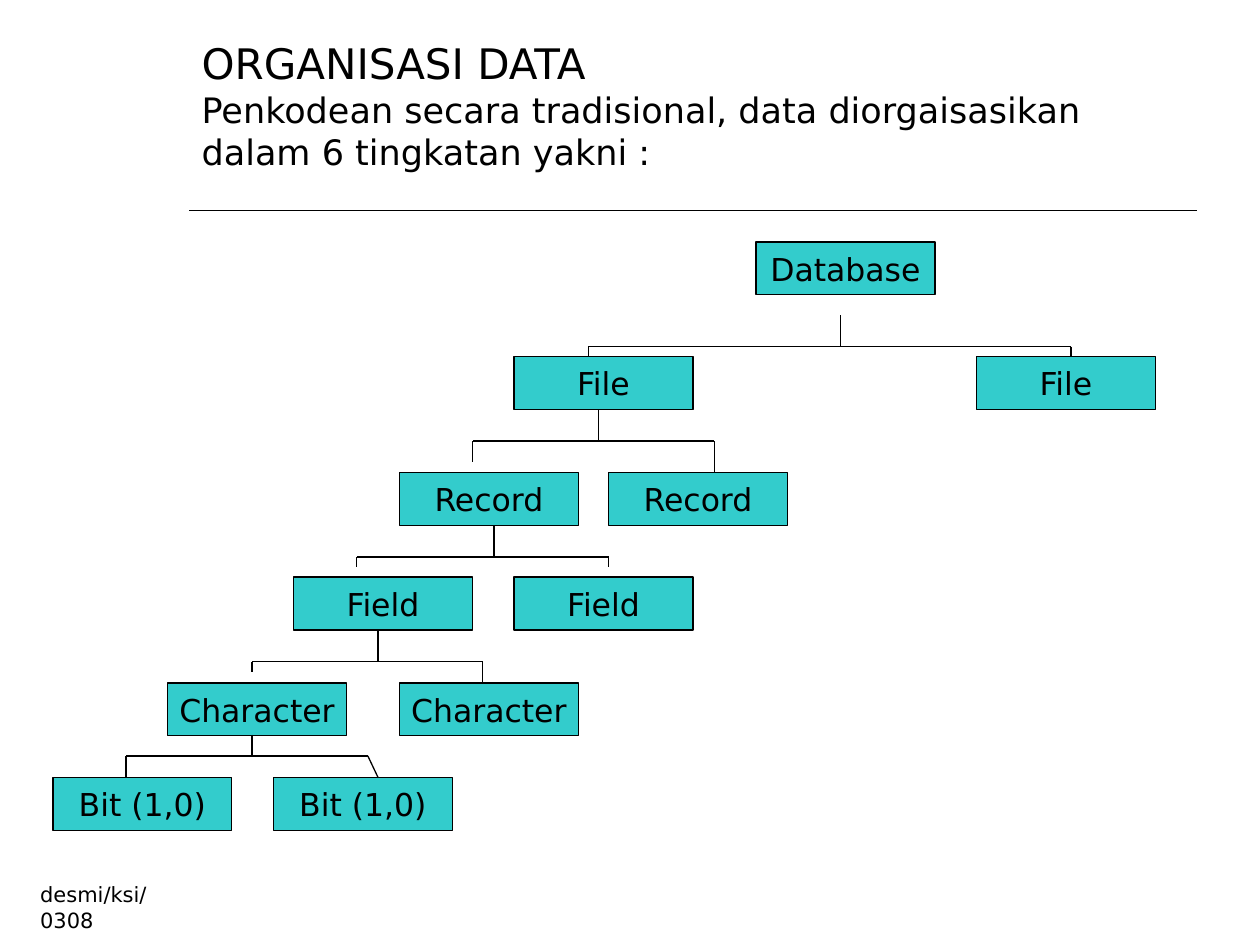
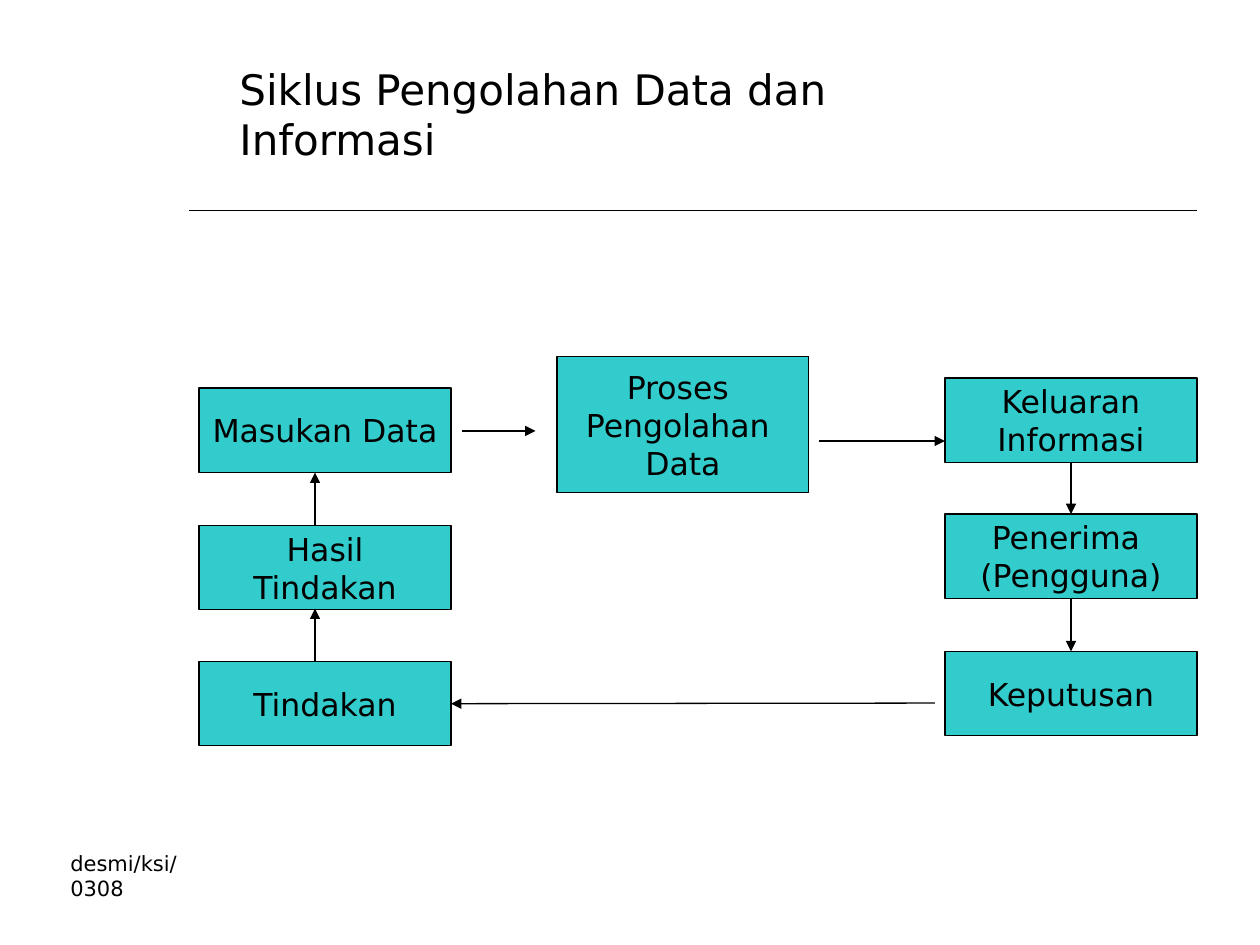
"""Build two slides: the levels of data organisation and the data processing cycle."""
from dataclasses import dataclass

from lxml import etree
from pptx import Presentation
from pptx import util as u
from pptx.dml.color import RGBColor
from pptx.enum import shapes, text
from pptx.oxml.ns import qn


@dataclass(frozen=True)
class Theme:
    font: str = "DejaVu Sans"
    ink: RGBColor = RGBColor(0x00, 0x00, 0x00)
    box: RGBColor = RGBColor(0x33, 0xCC, 0xCC)
    title: int = 24
    subtitle: int = 20
    label: int = 18
    footer: int = 12
    rule: float = 1
    line: float = 0.75


theme = Theme()


def write(tf, lines, align=text.PP_ALIGN.LEFT, anchor=text.MSO_ANCHOR.TOP, wrap=True):
    tf.word_wrap = wrap
    tf.auto_size = text.MSO_AUTO_SIZE.NONE
    tf.vertical_anchor = anchor
    for i, (line, size) in enumerate(lines):
        p = tf.paragraphs[0] if i == 0 else tf.add_paragraph()
        p.alignment = align
        r = p.add_run()
        r.text = line
        r.font.name = theme.font
        r.font.size = u.Pt(size)
        r.font.color.rgb = theme.ink


def draw_line(s, start, end, width=theme.line, arrow=False):
    points = [u.Inches(v) for v in (*start, *end)]
    cxn = s.shapes.add_connector(shapes.MSO_CONNECTOR.STRAIGHT, *points)
    cxn.line.color.rgb = theme.ink
    cxn.line.width = u.Pt(width)
    if arrow:
        etree.SubElement(cxn.line._get_or_add_ln(), qn("a:tailEnd"), type="triangle")
    etree.SubElement(cxn._element.spPr, qn("a:effectLst"))
    return cxn


tree_w, tree_h = 1.42, 0.42
cycle_w, cycle_h = 2, 0.67
left_x, right_x = 1.58, 7.5

tree_levels = [
    ("Database", 1.92, [6]),
    ("File", 2.83, [4.08, 7.75]),
    ("Record", 3.75, [3.17, 4.83]),
    ("Field", 4.58, [2.33, 4.08]),
    ("Character", 5.42, [1.33, 3.17]),
    ("Bit (1,0)", 6.17, [0.42, 2.17]),
]
tree_boxes = [
    (name, x, y, tree_w, tree_h) for name, y, lefts in tree_levels for x in lefts
]
cycle_boxes = [
    ("Masukan Data", left_x, 3.08, cycle_w, cycle_h),
    ("Hasil\nTindakan", left_x, 4.17, cycle_w, cycle_h),
    ("Tindakan", left_x, 5.25, cycle_w, cycle_h),
    ("Proses \nPengolahan \nData", 4.42, 2.83, cycle_w, 1.08),
    ("Keluaran\nInformasi", right_x, 3, cycle_w, cycle_h),
    ("Penerima \n(Pengguna)", right_x, 4.08, cycle_w, cycle_h),
    ("Keputusan", right_x, 5.17, cycle_w, cycle_h),
]
pages = [
    (
        [
            ("ORGANISASI DATA", theme.title),
            (
                "Penkodean secara tradisional, data diorgaisasikan dalam 6 tingkatan yakni :",
                theme.subtitle,
            ),
        ],
        (1.5, 0.25, 8, 1.17),
        (0.22, 6.95),
        tree_boxes,
    ),
    (
        [("Siklus Pengolahan Data dan Informasi", theme.title)],
        (1.8, 0.45, 6.24, 0.9),
        (0.46, 6.7),
        cycle_boxes,
    ),
]

prs = Presentation()
prs.slide_width, prs.slide_height = u.Inches(10), u.Inches(7.5)
slides, boxes = [], {}

for title, title_at, footer_at, page_boxes in pages:
    s = prs.slides.add_slide(prs.slide_layouts[5])
    slides.append(s)
    sp = s.shapes.title
    sp.left, sp.top, sp.width, sp.height = (u.Inches(v) for v in title_at)
    write(sp.text_frame, title)
    draw_line(s, (1.5, 1.67), (9.5, 1.67), theme.rule)

    footer = s.shapes.add_textbox(*(u.Inches(v) for v in (*footer_at, 1.39, 0.5)))
    write(footer.text_frame, [("desmi/ksi/0308", theme.footer)])

    for label, *at in page_boxes:
        sp = s.shapes.add_shape(
            shapes.MSO_SHAPE.RECTANGLE, *(u.Inches(v) for v in at)
        )
        sp.shadow.inherit = False
        sp.fill.solid()
        sp.fill.fore_color.rgb = theme.box
        sp.line.color.rgb = theme.ink
        sp.line.width = u.Pt(theme.line)
        lines = [(line, theme.label) for line in label.split("\n")]
        write(
            sp.text_frame, lines, text.PP_ALIGN.CENTER, text.MSO_ANCHOR.MIDDLE, False
        )
        boxes[label] = sp

tree, cycle = slides

branches = [
    (6.67, 2.5, 2.75, [(4.67, 4.67, 2.83), (8.5, 8.5, 2.83)]),
    (4.75, 3.25, 3.5, [(3.75, 3.75, 3.67), (5.67, 5.67, 3.75)]),
    (3.92, 4.17, 4.42, [(2.83, 2.83, 4.5), (4.83, 4.83, 4.5)]),
    (3, 5, 5.25, [(2, 2, 5.33), (3.83, 3.83, 5.42)]),
    (2, 5.83, 6, [(1, 1, 6.17), (2.92, 3, 6.17)]),
]
for stem_x, stem_top, bus_y, drops in branches:
    draw_line(tree, (stem_x, stem_top), (stem_x, bus_y))
    for bus_x, drop_x, drop_y in drops:
        draw_line(tree, (stem_x, bus_y), (bus_x, bus_y))
        draw_line(tree, (bus_x, bus_y), (drop_x, drop_y))

arrows = [
    ((3.67, 3.42), (4.25, 3.42), None, None),
    ((6.5, 3.5), (7.5, 3.5), None, None),
    ((8.5, 3.67), (8.5, 4.08), ("Keluaran\nInformasi", 2), ("Penerima \n(Pengguna)", 0)),
    ((8.5, 4.75), (8.5, 5.17), ("Penerima \n(Pengguna)", 2), ("Keputusan", 0)),
    ((7.42, 5.58), (3.58, 5.58), None, ("Tindakan", 3)),
    ((2.5, 5.25), (2.5, 4.83), None, None),
    ((2.5, 4.17), (2.5, 3.75), None, None),
]
for start, end, source, target in arrows:
    cxn = draw_line(cycle, start, end, arrow=True)
    if source:
        cxn.begin_connect(boxes[source[0]], source[1])
    if target:
        cxn.end_connect(boxes[target[0]], target[1])

prs.save("out.pptx")
